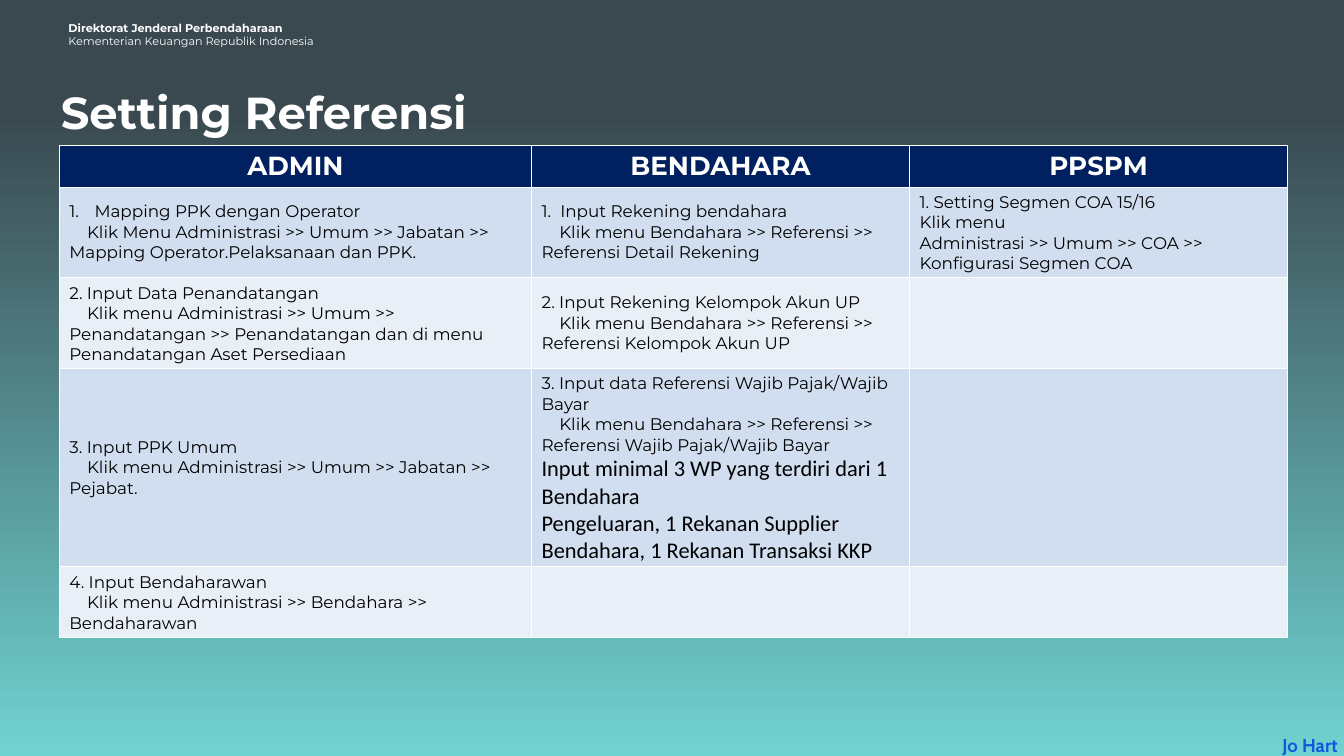
import pptx
import pptx.dml.color
import pptx.enum.text
import pptx.oxml.ns
import pptx.util
from lxml import etree

Pt = pptx.util.Pt
ALIGN = pptx.enum.text.PP_ALIGN
ANCHOR = pptx.enum.text.MSO_ANCHOR

COLOURS = {
    "slate": "3A4950",
    "aqua": "70D2D0",
    "navy": "002060",
    "band": "D0DEEF",
    "pale": "E9EFF7",
    "white": "FFFFFF",
    "black": "000000",
    "blue": "0D5BDC",
}

COLUMN_WIDTHS = [506, 405, 405]
ROW_HEIGHTS = [44, 97, 97, 212, 76]
HEADINGS = ["ADMIN", "BENDAHARA", "PPSPM"]
STEPS = [
    [
        [("number", "Mapping PPK dengan Operator"),
         ("path", "Klik Menu Administrasi >> Umum >> Jabatan >> Mapping Operator.Pelaksanaan dan PPK.")],
        [("number", "Input Rekening bendahara"),
         ("path", "Klik menu Bendahara >> Referensi >>"),
         ("plain", "Referensi Detail Rekening")],
        [("plain", "1. Setting Segmen COA 15/16"),
         ("plain", "Klik menu"),
         ("plain", "Administrasi >> Umum >> COA >> Konfigurasi Segmen COA")],
    ],
    [
        [("plain", "2. Input Data Penandatangan"),
         ("path", "Klik menu Administrasi >> Umum >> Penandatangan >> Penandatangan dan di menu Penandatangan Aset Persediaan")],
        [("plain", "2. Input Rekening Kelompok Akun UP"),
         ("path", "Klik menu Bendahara >> Referensi >> Referensi Kelompok Akun UP")],
        [],
    ],
    [
        [("plain", "3. Input PPK Umum"),
         ("path", "Klik menu Administrasi >> Umum >> Jabatan >> Pejabat.")],
        [("plain", "3. Input data Referensi Wajib Pajak/Wajib Bayar"),
         ("path", "Klik menu Bendahara >> Referensi >> Referensi Wajib Pajak/Wajib Bayar"),
         ("note", "Input minimal 3 WP yang terdiri dari 1 Bendahara"),
         ("note", "Pengeluaran, 1 Rekanan Supplier Bendahara, 1 Rekanan Transaksi KKP")],
        [],
    ],
    [
        [("plain", "4. Input Bendaharawan"),
         ("path", "Klik menu Administrasi >> Bendahara >> Bendaharawan")],
        [],
        [],
    ],
]
NUMBER_INDENTS = [27, 20, 20]
PATH_INDENT = 19


def rgb(name):
    return pptx.dml.color.RGBColor.from_string(COLOURS[name])


def set_font(para, size, colour, bold=False, name="Montserrat"):
    font = para.font
    font.size, font.bold, font.name = Pt(size), bold, name
    font.color.rgb = rgb(colour)


def set_margins(target, across, down):
    target.margin_left = target.margin_right = Pt(across)
    target.margin_top = target.margin_bottom = Pt(down)


def fill_background(page):
    fill = page.background.fill
    fill.gradient()
    fill.gradient_angle = 270
    for stop, (position, colour) in zip(fill.gradient_stops, [(0.15, "slate"), (1, "aqua")]):
        stop.position = position
        stop.color.rgb = rgb(colour)


def add_label(page, bounds, lines, size, colour, margins, name, align):
    frame = page.shapes.add_textbox(*map(Pt, bounds)).text_frame
    frame.word_wrap = True
    set_margins(frame, *margins)
    for index, (text, bold) in enumerate(lines):
        para = frame.add_paragraph() if index else frame.paragraphs[0]
        para.text = text
        para.alignment = align
        set_font(para, size, colour, bold, name)


def place_title(page, bounds, text):
    title = page.shapes.title
    title.left, title.top, title.width, title.height = map(Pt, bounds)
    frame = title.text_frame
    frame.auto_size = pptx.enum.text.MSO_AUTO_SIZE.NONE
    frame.vertical_anchor = ANCHOR.TOP
    set_margins(frame, 7.2, 7.2)
    para = frame.paragraphs[0]
    para.text = text
    para.alignment = ALIGN.LEFT
    set_font(para, 48, "white", True)


def style_step(para, kind, number_indent):
    properties = para._p.get_or_add_pPr()
    if kind == "number":
        properties.set("marL", str(Pt(number_indent)))
        properties.set("indent", str(-Pt(number_indent)))
        number = etree.SubElement(properties, pptx.oxml.ns.qn("a:buAutoNum"))
        number.set("type", "arabicPeriod")
    elif kind == "path":
        properties.set("marL", "0")
        properties.set("indent", str(Pt(PATH_INDENT)))
    if kind == "note":
        set_font(para, 24, "black", name="Calibri")
    else:
        set_font(para, 18, "black")


def fill_cell(cell, colour, anchor):
    cell.fill.solid()
    cell.fill.fore_color.rgb = rgb(colour)
    cell.vertical_anchor = anchor
    set_margins(cell, 10.8, 5.4)


def add_steps_table(page, left, top):
    table = page.shapes.add_table(
        len(ROW_HEIGHTS), len(COLUMN_WIDTHS), Pt(left), Pt(top),
        Pt(sum(COLUMN_WIDTHS)), Pt(sum(ROW_HEIGHTS))).table
    for column, width in zip(table.columns, COLUMN_WIDTHS):
        column.width = Pt(width)
    for row, height in zip(table.rows, ROW_HEIGHTS):
        row.height = Pt(height)
    for column, heading in enumerate(HEADINGS):
        cell = table.cell(0, column)
        fill_cell(cell, "navy", ANCHOR.MIDDLE)
        para = cell.text_frame.paragraphs[0]
        para.text = heading
        para.alignment = ALIGN.CENTER
        set_font(para, 28, "white", True)
    for row, row_steps in enumerate(STEPS, start=1):
        for column, lines in enumerate(row_steps):
            cell = table.cell(row, column)
            anchor = ANCHOR.TOP if column == 2 else ANCHOR.MIDDLE
            fill_cell(cell, "band" if row % 2 else "pale", anchor)
            frame = cell.text_frame
            for index, (kind, text) in enumerate(lines):
                para = frame.add_paragraph() if index else frame.paragraphs[0]
                para.text = text
                style_step(para, kind, NUMBER_INDENTS[column])


def main():
    deck = pptx.Presentation()
    deck.slide_width, deck.slide_height = Pt(1440), Pt(810)
    page = deck.slides.add_slide(deck.slide_layouts[5])
    fill_background(page)
    add_label(page, (59, 8, 501, 58),
              [("Direktorat Jenderal Perbendaharaan", True),
               ("Kementerian Keuangan Republik Indonesia", False)],
              12, "white", (14.4, 14.4), "Montserrat", ALIGN.LEFT)
    add_label(page, (1355.5, 782.5, 96.5, 32.5), [("Jo Hart", True)],
              20, "blue", (7.2, 3.6), "Cabin", ALIGN.CENTER)
    place_title(page, (58, 83.5, 769, 73), "Setting Referensi")
    add_steps_table(page, 63.5, 156)
    deck.save("out.pptx")


if __name__ == "__main__":
    main()
